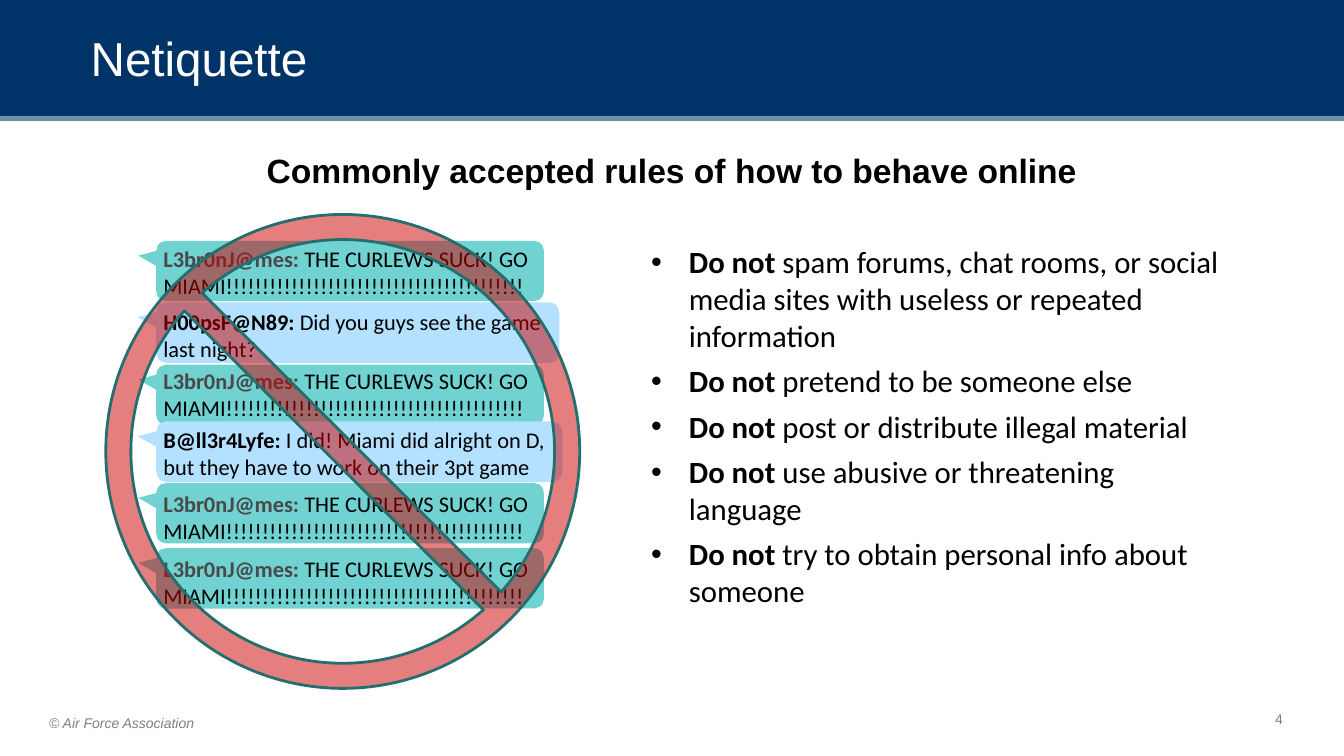
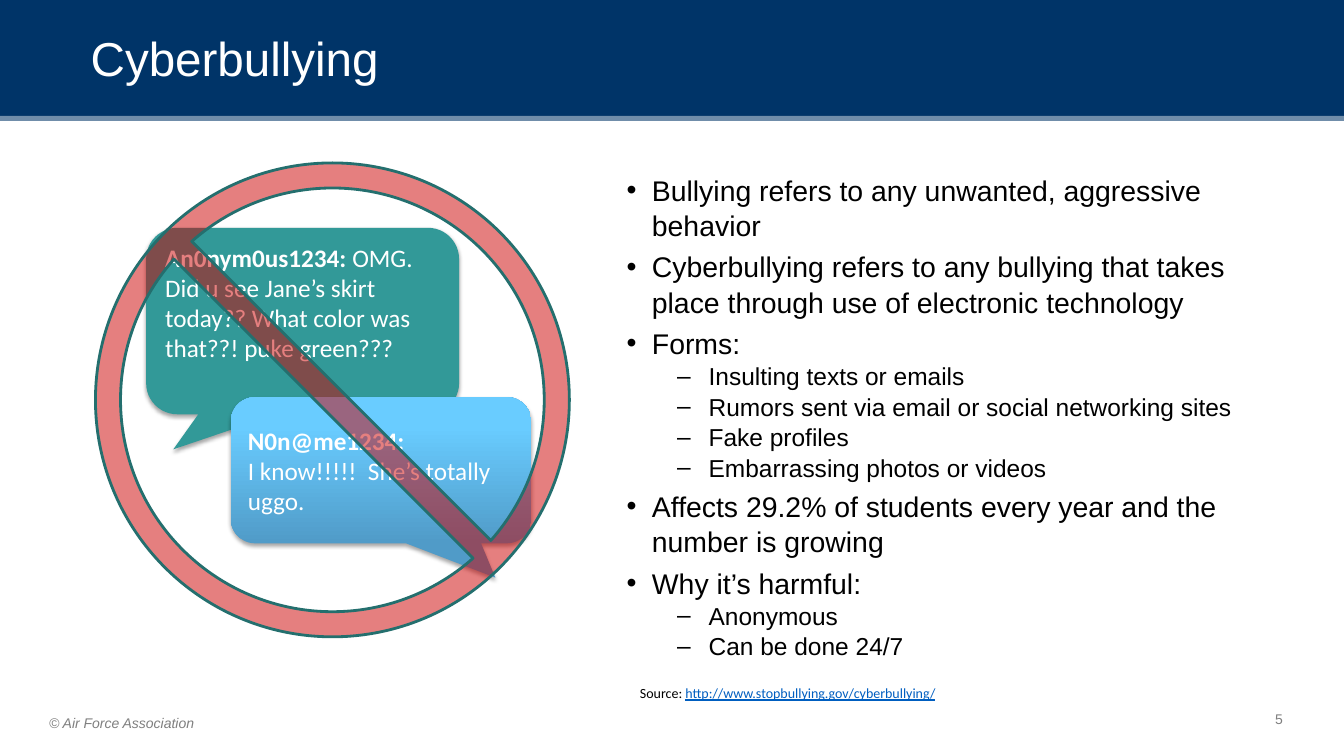
from lxml import etree
from pptx import Presentation
from pptx.dml.color import RGBColor
from pptx.enum import shapes, text
from pptx.oxml import ns
from pptx.util import Pt

NAVY = RGBColor(0x00, 0x34, 0x68)
WHITE = RGBColor(0xFF, 0xFF, 0xFF)
BLACK = RGBColor(0x00, 0x00, 0x00)
GRAY = RGBColor(0x7F, 0x7F, 0x7F)
CHARCOAL = RGBColor(0x49, 0x49, 0x49)
AQUA = RGBColor(0x71, 0xD2, 0xD2)
PALE_BLUE = RGBColor(0xB3, 0xE1, 0xFF)
TEAL = RGBColor(0x32, 0x99, 0x98)
DARK_TEAL = RGBColor(0x24, 0x6F, 0x6E)
STEEL = RGBColor(0x50, 0x9B, 0xC8)
SKY = RGBColor(0x69, 0xCC, 0xFF)
RED = RGBColor(0xCC, 0x00, 0x00)
LINK_BLUE = RGBColor(0x00, 0x5E, 0xC0)

WIDTH, HEIGHT = 960, 540
SHOUT = ("L3br0nJ@mes: ", "THE CURLEWS SUCK! GO MIAMI" + "!" * 41)
HOOPS = ("H00psF@N89: ", "Did you guys see the game\vlast night?")
BALLER = ("B@ll3r4Lyfe: ", "I did! Miami did alright on D,\vbut they have to work on their 3pt game")
CHAT = [
    (172, 277, 1, AQUA, CHARCOAL, SHOUT),
    (216, 288, 2, PALE_BLUE, BLACK, HOOPS),
    (260.5, 277, 0, AQUA, CHARCOAL, SHOUT),
    (301, 290, 1.5, PALE_BLUE, BLACK, BALLER),
    (345, 277, 3, AQUA, CHARCOAL, SHOUT),
    (391.5, 277, 3, AQUA, CHARCOAL, SHOUT),
]
RULES = [
    "spam forums, chat rooms, or social media sites with useless or repeated information",
    "pretend to be someone else",
    "post or distribute illegal material",
    "use abusive or threatening language",
    "try to obtain personal info about someone",
]
FACTS = [
    (0, "Bullying refers to any unwanted, aggressive behavior"),
    (0, "Cyberbullying refers to any bullying that takes place through use of electronic technology"),
    (0, "Forms:"),
    (1, "Insulting texts or emails"),
    (1, "Rumors sent via email or social networking sites"),
    (1, "Fake profiles"),
    (1, "Embarrassing photos or videos"),
    (0, "Affects 29.2% of students every year and the number is growing"),
    (0, "Why it’s harmful:"),
    (1, "Anonymous"),
    (1, "Can be done 24/7"),
]


def pts(*values):
    """Convert numbers to lengths in points."""
    return [Pt(v) for v in values]


def set_alpha(element, percent):
    """Set the opacity of every plain colour inside an element."""
    for color in element.iter(ns.qn("a:srgbClr")):
        etree.SubElement(color, ns.qn("a:alpha"), val=str(percent * 1000))


def add_shadow(sp):
    """Give a shape a soft shadow below it."""
    sp.shadow.inherit = False
    effects = sp._element.spPr.find(ns.qn("a:effectLst"))
    shadow = etree.SubElement(effects, ns.qn("a:outerShdw"), blurRad="39400",
                              dist="22900", dir="5400000", rotWithShape="0")
    etree.SubElement(shadow, ns.qn("a:srgbClr"), val="000000")
    set_alpha(shadow, 35)


def add_bullet(p, char, left, hanging):
    """Give a paragraph a hanging bullet."""
    pPr = p._p.get_or_add_pPr()
    pPr.set("marL", str(Pt(left)))
    pPr.set("indent", str(-Pt(hanging)))
    color = etree.SubElement(pPr, ns.qn("a:buClr"))
    etree.SubElement(color, ns.qn("a:srgbClr"), val=str(BLACK))
    etree.SubElement(pPr, ns.qn("a:buFont"), typeface="Arial")
    etree.SubElement(pPr, ns.qn("a:buChar"), char=char)


def style(r, font, size, color, bold=False):
    """Format the font of one run."""
    r.font.name, r.font.size, r.font.bold = font, Pt(size), bold
    r.font.color.rgb = color


def write(p, value, font, size, color, bold=False):
    """Fill a paragraph with text in one style."""
    p.text = value
    for r in p.runs:
        style(r, font, size, color, bold)


def write_lead(p, lead, rest, size, lead_color, color):
    """Fill a paragraph with a bold lead followed by plain text."""
    write(p, lead, "Calibri", size, lead_color, True)
    for i, line in enumerate(rest.split("\v")):
        if i:
            p.add_line_break()
        r = p.add_run()
        r.text = line
        style(r, "Calibri", size, color)


def add_text(s, box):
    """Add a wrapping text box and return its text frame."""
    tf = s.shapes.add_textbox(*pts(*box)).text_frame
    tf.word_wrap = True
    return tf


def add_callout(s, box, tail):
    """Add a rounded speech bubble with left-aligned text."""
    sp = s.shapes.add_shape(shapes.MSO_SHAPE.ROUNDED_RECTANGULAR_CALLOUT, *pts(*box))
    sp.adjustments[0], sp.adjustments[1] = tail
    sp.shadow.inherit = False
    sp.line.fill.background()
    sp.text_frame.word_wrap = True
    sp.text_frame.vertical_anchor = text.MSO_ANCHOR.TOP
    sp.text_frame.paragraphs[0].alignment = text.PP_ALIGN.LEFT
    return sp


def add_no_sign(s, left, top):
    """Lay the see-through prohibition sign over the chat."""
    sp = s.shapes.add_shape(shapes.MSO_SHAPE.NO_SYMBOL, *pts(left, top, 338.5, 338.5))
    sp.adjustments[0] = 0.053
    sp.shadow.inherit = False
    sp.fill.solid()
    sp.fill.fore_color.rgb = RED
    set_alpha(sp._element.spPr, 50)
    sp.line.color.rgb = DARK_TEAL
    sp.line.width = Pt(2)


def dress_layout(layout, s):
    """Draw the shared band, rule and footer, then move them to the layout."""
    band = s.shapes.add_shape(shapes.MSO_SHAPE.RECTANGLE, *pts(0, 0, WIDTH, 86.4))
    band.shadow.inherit = False
    band.fill.solid()
    band.fill.fore_color.rgb = NAVY
    band.line.fill.background()

    rule = s.shapes.add_connector(shapes.MSO_CONNECTOR.STRAIGHT, *pts(0, 85, WIDTH, 85))
    rule.line.color.rgb = WHITE
    rule.line.width = Pt(4.5)
    set_alpha(rule._element.spPr, 44)
    etree.SubElement(rule._element.spPr, ns.qn("a:effectLst"))

    footer = add_text(s, (28, 507, 328, 19.5))
    write(footer.paragraphs[0], "© Air Force Association", "Arial", 10, GRAY)
    footer.paragraphs[0].runs[0].font.italic = True

    tree = layout.shapes._spTree
    for i, element in enumerate((band._element, rule._element, footer._parent._element)):
        tree.insert(2 + i, element)


def add_heading(s, title, number):
    """Place the slide title and the slide number."""
    sp = s.shapes.title
    sp.left, sp.top, sp.width, sp.height = pts(57.6, 18, 854.5, 45.5)
    tf = sp.text_frame
    tf.auto_size = text.MSO_AUTO_SIZE.NONE
    tf.vertical_anchor = text.MSO_ANCHOR.MIDDLE
    write(tf.paragraphs[0], title, "Arial", 34, WHITE)
    tf.paragraphs[0].alignment = text.PP_ALIGN.LEFT

    tf = add_text(s, (887, 499, 53.3, 28.8))
    tf.vertical_anchor = text.MSO_ANCHOR.MIDDLE
    write(tf.paragraphs[0], str(number), "Arial", 10, GRAY)
    tf.paragraphs[0].alignment = text.PP_ALIGN.CENTER


def add_chat(s, left):
    """Stack the spam messages as narrow bubbles."""
    for top, width, inset, fill, name_color, message in CHAT:
        sp = add_callout(s, (left, top, width, 43.2), (-0.546, -0.254))
        sp.fill.solid()
        sp.fill.fore_color.rgb = fill
        tf = sp.text_frame
        tf.margin_left, tf.margin_top, tf.margin_right, tf.margin_bottom = pts(3, inset, 0, 0)
        write_lead(tf.paragraphs[0], *message, 16, name_color, BLACK)


def add_rules(s, box):
    """List the things not to do online."""
    tf = add_text(s, box)
    for i, rule in enumerate(RULES):
        p = tf.add_paragraph() if i else tf.paragraphs[0]
        if i:
            p.space_before = Pt(6)
        add_bullet(p, "•", 27, 27)
        write_lead(p, "Do not ", rule, 22, BLACK, BLACK)


def add_insults(s, left, top):
    """Place the two overlapping bullying messages."""
    first = add_callout(s, (left, top, 223.5, 133.2), (-0.413, 0.688))
    first.fill.solid()
    first.fill.fore_color.rgb = TEAL
    write_lead(first.text_frame.paragraphs[0], "An0nym0us1234: ",
               "OMG. Did u see Jane’s skirt today?? What color was that??! puke green???",
               18, WHITE, WHITE)

    reply = add_callout(s, (left + 60.5, top + 121, 214.5, 104.4), (0.381, 0.735))
    reply.fill.gradient()
    reply.fill.gradient_angle = 90
    for stop, place, color in zip(reply.fill.gradient_stops, (0, 0.8), (STEEL, SKY)):
        stop.position = place
        stop.color.rgb = color
    tf = reply.text_frame
    tf.vertical_anchor = text.MSO_ANCHOR.MIDDLE
    write(tf.paragraphs[0], "N0n@me1234:", "Calibri", 18, WHITE, True)
    p = tf.add_paragraph()
    p.alignment = text.PP_ALIGN.LEFT
    write(p, "I know!!!!!  She’s totally uggo.", "Calibri", 18, WHITE)

    for sp in (first, reply):
        add_shadow(sp)


def add_facts(s, box):
    """List the facts about bullying on two levels."""
    tf = add_text(s, box)
    for i, (level, fact) in enumerate(FACTS):
        p = tf.add_paragraph() if i else tf.paragraphs[0]
        p.level = level
        p.line_spacing = 1.04
        if i and not level:
            p.space_before = Pt(4.1)
        add_bullet(p, *(("–", 58.5, 22.5) if level else ("•", 18, 18)))
        write(p, fact, "Arial", 17.5 if level else 20.3, BLACK)


def add_source(s, box):
    """Cite the web source."""
    p = add_text(s, box).paragraphs[0]
    p.alignment = text.PP_ALIGN.CENTER
    write(p, "Source: ", "Calibri", 10, BLACK)
    r = p.add_run()
    r.text = "http://www.stopbullying.gov/cyberbullying/"
    style(r, "Calibri", 10, LINK_BLUE)
    r.font.underline = True


def build_netiquette(s):
    """Build the slide on online manners."""
    add_heading(s, "Netiquette", 4)
    p = add_text(s, (57.6, 103.7, 844.5, 40)).paragraphs[0]
    write(p, "Commonly accepted rules of how to behave online", "Arial", 24, BLACK, True)
    p.alignment = text.PP_ALIGN.CENTER
    add_chat(s, 111.6)
    add_rules(s, (458, 170, 422, 271.5))
    add_no_sign(s, 75.6, 153.2)


def build_cyberbullying(s):
    """Build the slide on bullying."""
    add_heading(s, "Cyberbullying", 5)
    add_facts(s, (440.6, 118.8, 461.5, 365))
    add_insults(s, 104.4, 162.7)
    add_source(s, (447.8, 485.3, 229.7, 19.5))
    add_no_sign(s, 68.2, 116.4)


def main():
    """Build and save the presentation."""
    prs = Presentation()
    prs.slide_width, prs.slide_height = pts(WIDTH, HEIGHT)
    layout = prs.slide_layouts[5]
    netiquette, cyberbullying = [prs.slides.add_slide(layout) for _ in range(2)]
    dress_layout(layout, netiquette)
    build_netiquette(netiquette)
    build_cyberbullying(cyberbullying)
    prs.save("out.pptx")


if __name__ == "__main__":
    main()
